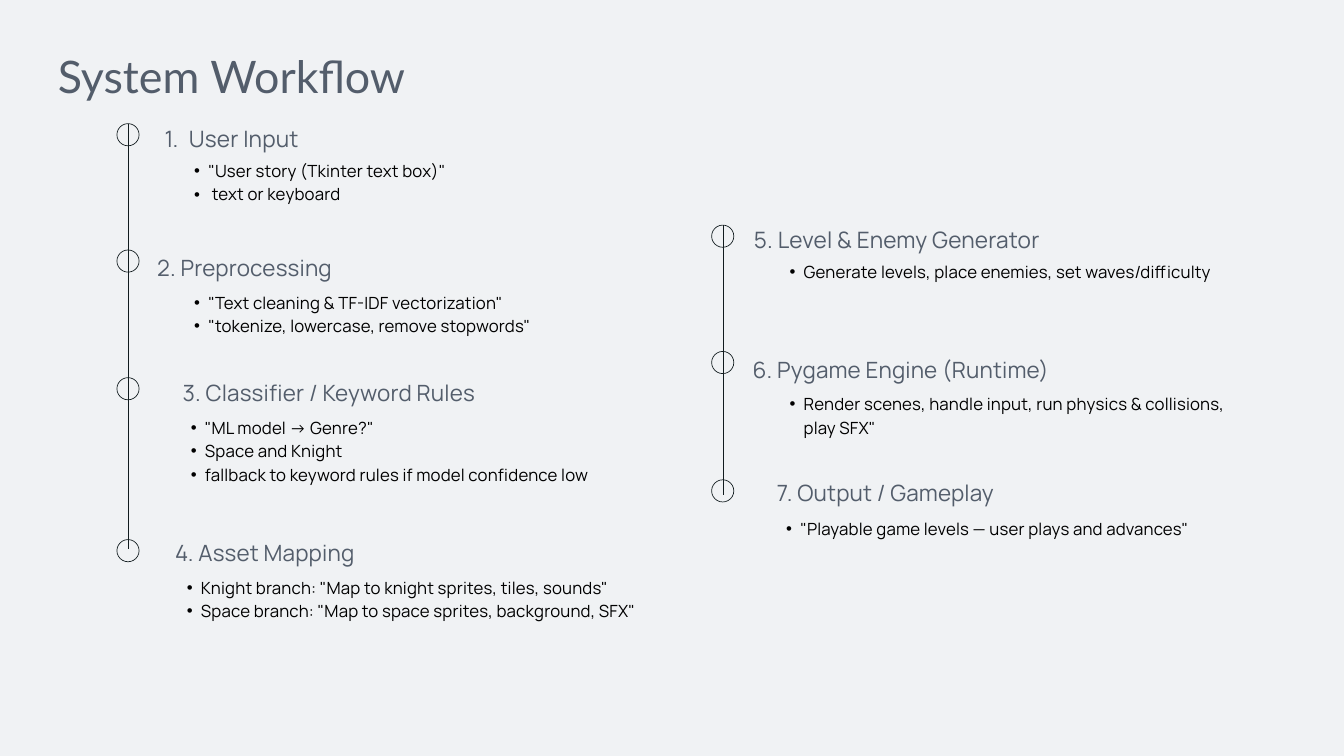
from lxml.etree import SubElement as Sub
from pptx import Presentation
from pptx.dml.color import RGBColor as RGB
from pptx.enum.shapes import MSO_CONNECTOR as Link, MSO_SHAPE as Shape
from pptx.enum.text import PP_ALIGN as Align
from pptx.oxml.ns import qn
from pptx.util import Emu, Pt

PX = 9144  # 100 px to the inch
RING = 33
COLORS = {"back": "F0F2F4", "head": "535D6B", "body": "000000", "line": "111B1E"}

# Each step: heading, its box, its format, bullets, their box
LEFT = [
    (" User Input", (217, 179, 577, 45),
     dict(size=24.2, lead=33.9, mark="1.", margin=57, hang=29),
     ['"User story (Tkinter text box)"', " text or keyboard"], (267, 234, 693, 101)),
    ("2. Preprocessing", (207, 372, 396, 44), dict(margin=27),
     ['"Text cleaning & TF-IDF vectorization"',
      '"tokenize, lowercase, remove stopwords"'], (267, 430, 693, 101)),
    (" 3. Classifier / Keyword Rules", (224, 558, 524, 44), dict(align=Align.CENTER),
     ['"ML model → Genre?"', "Space and Knight",
      "fallback to keyword rules if model confidence low"], (262, 616, 693, 136)),
    ("4. Asset Mapping", (223, 795, 342, 44), dict(align=Align.CENTER),
     ['Knight branch: "Map to knight sprites, tiles, sounds"',
      'Space branch: "Map to space sprites, background, SFX"'], (256, 854, 693, 136)),
]
RIGHT = [
    ("5. Level & Enemy Generator", (1102, 330, 577, 45),
     dict(size=24.2, lead=33.9, margin=20),
     ["Generate levels, place enemies, set waves/difficulty"], (1153, 385, 693, 33)),
    ("6. Pygame Engine (Runtime)", (1093, 523, 541, 44), dict(margin=27),
     ['Render scenes, handle input, run physics & collisions, play SFX"'],
     (1153, 581, 693, 67)),
    ("7. Output / Gameplay ", (1059, 706, 524, 44), dict(align=Align.CENTER),
     ['"Playable game levels — user plays and advances"'], (1148, 767, 693, 33)),
]


def px(*nums):
    return [Emu(n * PX) for n in nums]


def color(name):
    return RGB.from_string(COLORS[name])


def add_mark(props, mark):
    """Give a paragraph a bullet or an automatic number."""
    if mark == "1.":
        Sub(props, qn("a:buAutoNum"), type="arabicPeriod")
    else:
        Sub(props, qn("a:buFont"), typeface="Arial")
        Sub(props, qn("a:buChar"), char=mark)


def add_text(slide, lines, box, size=24, lead=33.6, font="Manrope", ink="head",
             space=20, align=Align.LEFT, mark=None, margin=0, hang=0):
    frame = slide.shapes.add_textbox(*px(*box)).text_frame
    frame.word_wrap = True
    frame.margin_left = frame.margin_right = 0
    frame.margin_top = frame.margin_bottom = 0
    for i, line in enumerate(lines):
        para = frame.paragraphs[0] if i == 0 else frame.add_paragraph()
        para.alignment = align
        para.line_spacing = Pt(lead)
        props = para._p.get_or_add_pPr()
        props.set("marL", str(margin * PX))
        props.set("indent", str(-hang * PX))
        if mark:
            para.level = 1
            add_mark(props, mark)
        run = para.add_run()
        run.text = line
        run.font.size = Pt(size)
        run.font.name = font
        run.font.color.rgb = color(ink)
        run._r.get_or_add_rPr().set("spc", str(space))


def add_ring(slide, left, top):
    ring = slide.shapes.add_shape(Shape.OVAL, *px(left, top, RING, RING))
    ring.shadow.inherit = False
    ring.fill.background()
    ring.line.color.rgb = color("line")
    ring.line.width = Pt(0.75)


def add_track(slide, x, top, end, rings):
    """Draw a vertical line with a ring for each step."""
    track = slide.shapes.add_connector(Link.STRAIGHT, *px(x, top, x, end))
    track.line.color.rgb = color("line")
    track.line.width = Pt(0.75)
    Sub(track._element.spPr, qn("a:effectLst"))
    for y in rings:
        add_ring(slide, x - RING // 2 - 1, y)


def add_steps(slide, steps):
    for head, spot, style, items, box in steps:
        add_text(slide, [head], spot, **style)
        add_text(slide, items, box, size=18, lead=25.2, ink="body",
                 mark="•", margin=43, hang=21)


def main():
    deck = Presentation()
    deck.slide_width, deck.slide_height = px(2000, 1125)
    slide = deck.slides.add_slide(deck.slide_layouts[6])
    slide.background.fill.solid()
    slide.background.fill.fore_color.rgb = color("back")

    # Title
    add_text(slide, ["System Workflow"], (86, 73, 575, 79),
             size=48, lead=57.6, font="Lato", space=0)

    # Timelines
    add_track(slide, 191, 184, 817, (184, 372, 562, 803))
    add_track(slide, 1076, 335, 737, (335, 523, 714))

    # Steps
    add_steps(slide, LEFT)
    add_steps(slide, RIGHT)
    deck.save("out.pptx")


if __name__ == "__main__":
    main()
